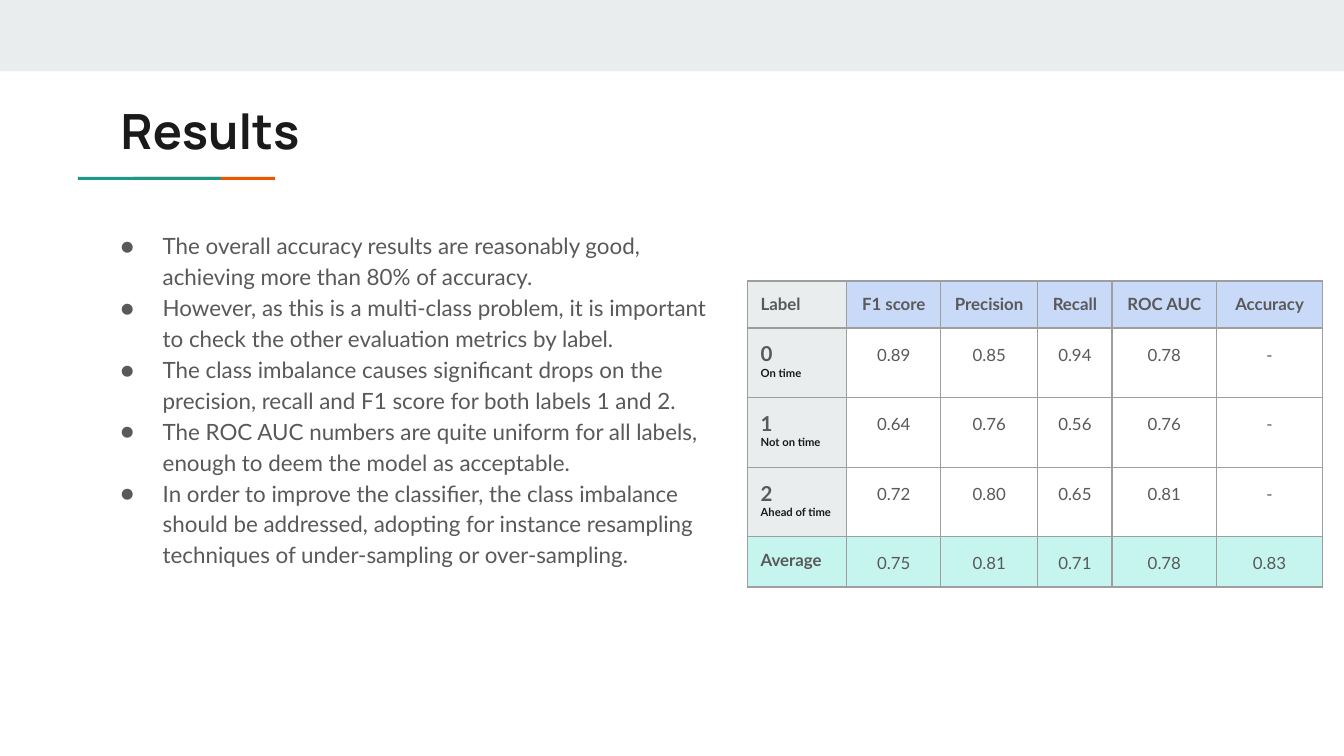
from lxml import etree
from pptx import Presentation
from pptx.dml.color import RGBColor
from pptx.enum.shapes import MSO_SHAPE
from pptx.enum.text import PP_ALIGN
from pptx.oxml.ns import qn
from pptx.util import Pt

RECTANGLE = MSO_SHAPE.RECTANGLE
LEFT, CENTER = PP_ALIGN.LEFT, PP_ALIGN.CENTER
INSET = 7.2
DARK, GRAY, PALE = "1A1A1A", "595959", "E9EDEE"
BLUE, MINT, BORDER = "C9DAF8", "C6F5EF", "9E9E9E"

BULLETS = [
    "The overall accuracy results are reasonably good, achieving more than 80% of accuracy.",
    "However, as this is a multi-class problem, it is important to check the other evaluation metrics by label.",
    "The class imbalance causes significant drops on the precision, recall and F1 score for both labels 1 and 2.",
    "The ROC AUC numbers are quite uniform for all labels, enough to deem the model as acceptable.",
    "In order to improve the classifier, the class imbalance should be addressed, adopting for instance "
    "resampling techniques of under-sampling or over-sampling.",
]
SCORES = [
    ["Label", "F1 score", "Precision", "Recall", "ROC AUC", "Accuracy"],
    ["0\nOn time", "0.89", "0.85", "0.94", "0.78", "-"],
    ["1\nNot on time", "0.64", "0.76", "0.56", "0.76", "-"],
    ["2\nAhead of time", "0.72", "0.80", "0.65", "0.81", "-"],
    ["Average", "0.75", "0.81", "0.71", "0.78", "0.83"],
]
COLUMN_WIDTHS = [53.3, 50.3, 52, 39.9, 56, 56.8]
ROW_HEIGHTS = [25.2, 37.3, 37.3, 37.3, 26.8]


def color(hex_string):
    return RGBColor.from_string(hex_string)


def add_bar(slide, left, top, width, height, fill):
    shape = slide.shapes.add_shape(RECTANGLE, Pt(left), Pt(top), Pt(width), Pt(height))
    shape.shadow.inherit = False
    shape.fill.solid()
    shape.fill.fore_color.rgb = color(fill)
    shape.line.fill.background()


def format_paragraph(paragraph, size, text_color, font="Lato", bold=False, align=LEFT, spacing=1.0):
    paragraph.alignment = align
    paragraph.line_spacing = spacing
    for run in paragraph.runs:
        run.font.name = font
        run.font.size = Pt(size)
        run.font.bold = bold
        run.font.color.rgb = color(text_color)


def set_insets(target):
    target.margin_left = target.margin_right = Pt(INSET)
    target.margin_top = target.margin_bottom = Pt(INSET)


def add_text(slide, left, top, width, height, text):
    text_frame = slide.shapes.add_textbox(Pt(left), Pt(top), Pt(width), Pt(height)).text_frame
    text_frame.word_wrap = True
    set_insets(text_frame)
    text_frame.text = text
    return text_frame.paragraphs


def add_bullet(paragraph, indent):
    properties = paragraph._p.get_or_add_pPr()
    properties.set("marL", str(Pt(indent)))
    properties.set("indent", str(-Pt(indent)))
    bullet_color = etree.SubElement(properties, qn("a:buClr"))
    etree.SubElement(bullet_color, qn("a:srgbClr"), val=GRAY)
    etree.SubElement(properties, qn("a:buFont"), typeface="Lato")
    etree.SubElement(properties, qn("a:buChar"), char="●")


def set_borders(cell):
    properties = cell._tc.get_or_add_tcPr()
    for position, side in enumerate(("a:lnL", "a:lnR", "a:lnT", "a:lnB")):
        line = etree.Element(qn(side), w=str(Pt(0.75)))
        fill = etree.SubElement(line, qn("a:solidFill"))
        etree.SubElement(fill, qn("a:srgbClr"), val=BORDER)
        properties.insert(position, line)


def cell_fill(row, column):
    if row == len(SCORES) - 1:
        return MINT
    if column == 0:
        return PALE
    return BLUE if row == 0 else None


def format_cell(cell, row, column):
    cell.text_frame.text = SCORES[row][column]
    set_insets(cell)
    paragraphs = cell.text_frame.paragraphs
    if len(paragraphs) == 2:
        format_paragraph(paragraphs[0], 11, GRAY, bold=True)
        format_paragraph(paragraphs[1], 6, DARK, bold=True)
    else:
        heading = row == 0 or column == 0
        format_paragraph(paragraphs[0], 9, GRAY, bold=heading,
                         align=CENTER if column else LEFT,
                         spacing=1.0 if heading else 1.15)
    fill = cell_fill(row, column)
    if fill:
        cell.fill.solid()
        cell.fill.fore_color.rgb = color(fill)
    else:
        cell.fill.background()
    set_borders(cell)


def add_score_table(slide, left, top):
    table = slide.shapes.add_table(
        len(ROW_HEIGHTS), len(COLUMN_WIDTHS), Pt(left), Pt(top),
        Pt(sum(COLUMN_WIDTHS)), Pt(sum(ROW_HEIGHTS))).table
    table.first_row = table.horz_banding = False
    for column, width in zip(table.columns, COLUMN_WIDTHS):
        column.width = Pt(width)
    for row, height in zip(table.rows, ROW_HEIGHTS):
        row.height = Pt(height)
    for row in range(len(ROW_HEIGHTS)):
        for column in range(len(COLUMN_WIDTHS)):
            format_cell(table.cell(row, column), row, column)


def main():
    presentation = Presentation()
    presentation.slide_width, presentation.slide_height = Pt(720), Pt(405)
    slide = presentation.slides.add_slide(presentation.slide_layouts[6])
    add_bar(slide, 0, 0, 720, 38.2, PALE)
    add_bar(slide, 71.3, 94.8, 76.2, 1.6, "EB5600")
    add_bar(slide, 41.8, 94.8, 76.6, 1.6, "1A9988")
    title = add_text(slide, 57.6, 46.8, 605.5, 47.5, "Results")
    format_paragraph(title[0], 26, DARK, font="Manrope", bold=True)
    add_score_table(slide, 400.3, 150.5)
    for paragraph in add_text(slide, 57.6, 115.2, 333.4, 273.6, "\n".join(BULLETS)):
        format_paragraph(paragraph, 12, GRAY, spacing=1.15)
        add_bullet(paragraph, 22.5)
    presentation.save("out.pptx")


if __name__ == "__main__":
    main()
